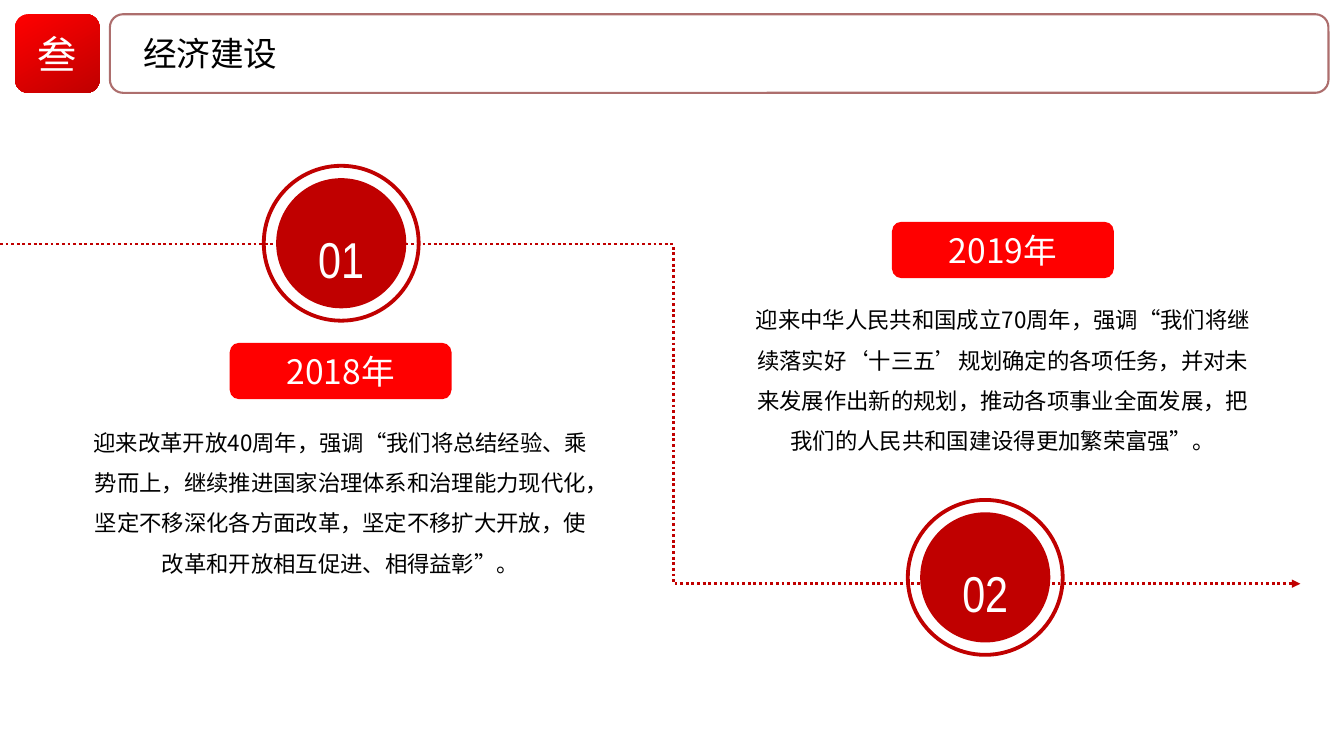
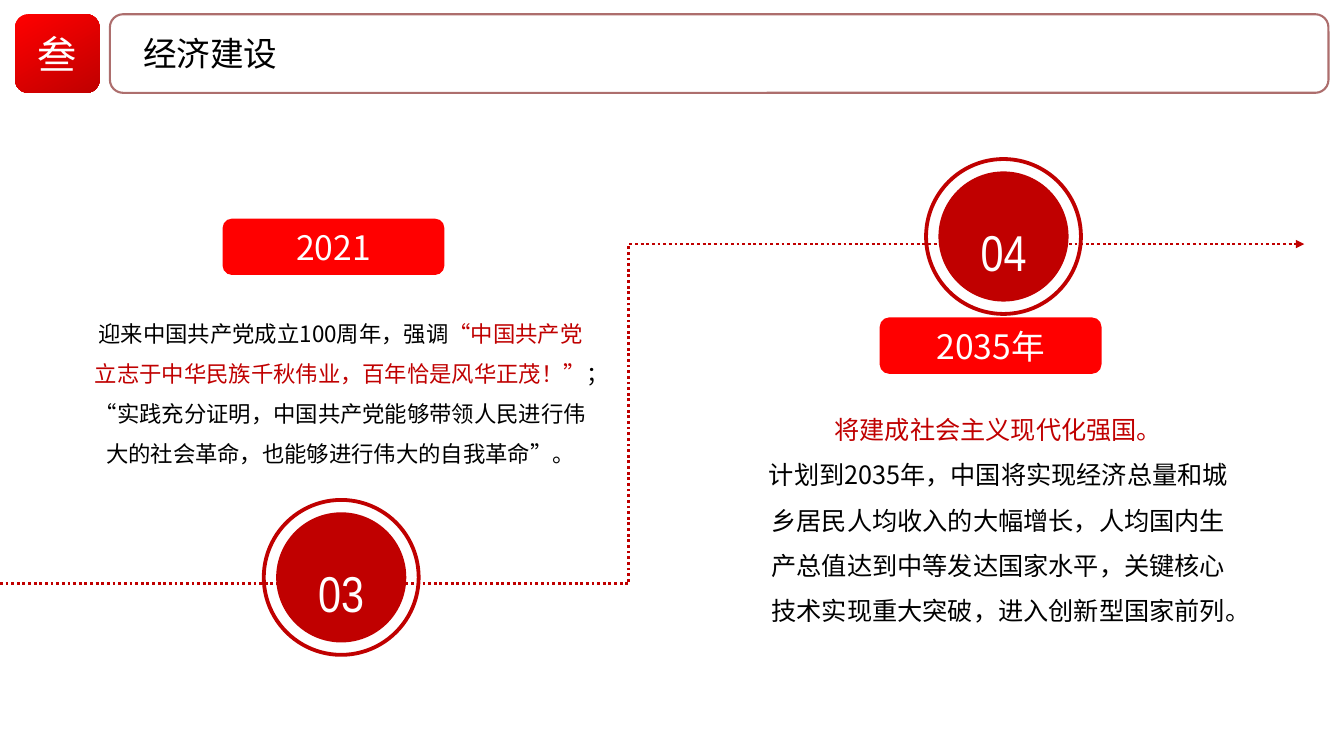
from lxml.etree import SubElement
from pptx import Presentation
from pptx.dml.color import RGBColor as RGB
from pptx.enum.dml import MSO_LINE as Dash
from pptx.enum.lang import MSO_LANGUAGE_ID as Lang
from pptx.enum.shapes import MSO_SHAPE as Kind
from pptx.enum.text import MSO_ANCHOR as Anchor, MSO_AUTO_SIZE as Auto, PP_ALIGN as Align
from pptx.oxml.ns import qn
from pptx.util import Cm, Pt

HUE = {k: RGB.from_string(v) for k, v in {
    "red": "FF0000", "deep": "C00000", "edge": "8B3130",
    "black": "000000", "white": "FFFFFF"}.items()}
SANS, BADGE, NARROW = "Noto Sans CJK JP", "Noto Sans CJK SC", "Arial Narrow"
TITLE = "经济建设"
HIGH, LOW = 6.15, 14.71  # the two levels of the dotted path
RING, DISC = 4, 3.28

# Each stop: number, centre of disc, year, corner of year box,
# text box, text size, paragraphs of (text, colour) runs
PAGES = [
    {"path": [(0, HIGH), (16.97, HIGH), (16.97, LOW), (32.77, LOW)],
     "stops": [
         ("01", (8.6, 6.13), "2018年", (5.79, 8.64), (1.98, 10.34, 13.21, 4.27), 16,
          [[("迎来改革开放40周年，强调“我们将总结经验、乘势而上，继续推进国家治理体系和治理能力现代化，"
             "坚定不移深化各方面改革，坚定不移扩大开放，使改革和开放相互促进、相得益彰”。", "black")]]),
         ("02", (24.83, 14.55), "2019年", (22.48, 5.59), (18.67, 7.26, 13.21, 4.27), 16,
          [[("迎来中华人民共和国成立70周年，强调“我们将继续落实好‘十三五’规划确定的各项任务，"
             "并对未来发展作出新的规划，推动各项事业全面发展，把我们的人民共和国建设得更加繁荣富强”。",
             "black")]])]},
    {"path": [(0, LOW), (15.85, LOW), (15.85, HIGH), (32.87, HIGH)],
     "stops": [
         ("03", (8.6, 14.55), "2021", (5.61, 5.51), (1.98, 7.59, 13.21, 4.37), 16,
          [[("迎来中国共产党成立100周年，强调", "black"),
            ("“中国共产党立志于中华民族千秋伟业，百年恰是风华正茂！”", "deep"),
            ("；“实践充分证明，中国共产党能够带领人民进行伟大的社会革命，也能够进行伟大的自我革命”。",
             "black")]]),
         ("04", (25.29, 5.96), "2035年", (22.17, 8), (19, 9.93, 12.32, 6.02), 18,
          [[("将建成社会主义现代化强国。", "deep")],
           [("计划到2035年，中国将实现经济总量和城乡居民人均收入的大幅增长，人均国内生产总值达到"
             "中等发达国家水平，关键核心技术实现重大突破，进入创新型国家前列。", "black")]])]},
]


def style(run, face, size, hue):
    font = run.font
    font.name, font.size, font.color.rgb = face, Pt(size), HUE[hue]
    font.language_id = Lang.SIMPLIFIED_CHINESE
    SubElement(run._r.get_or_add_rPr(), qn("a:ea")).set("typeface", face)


def draw(slide, kind, box, hue=None, text="", face=SANS, size=24):
    """Add a preset shape without outline, with an optional white centred label."""
    shape = slide.shapes.add_shape(kind, *map(Cm, box))
    shape.shadow.inherit = False
    shape.line.fill.background()
    if hue:
        shape.fill.solid()
        shape.fill.fore_color.rgb = HUE[hue]
    else:
        shape.fill.background()
    if text:
        frame = shape.text_frame
        frame.text = text
        frame.word_wrap = False
        frame.vertical_anchor = Anchor.MIDDLE
        frame.margin_top = frame.margin_bottom = 0
        frame.paragraphs[0].alignment = Align.CENTER
        style(frame.paragraphs[0].runs[0], face, size, "white")
    return shape


prs = Presentation()
prs.slide_width, prs.slide_height = Cm(33.87), Cm(19.05)
layout = prs.slide_layouts[3]
head = layout.placeholders[0]
head.left, head.top, head.width, head.height = map(Cm, (3.35, 0.71, 23.52, 1.27))

for page in PAGES:
    slide = prs.slides.add_slide(layout)

    # Header
    frame = slide.shapes.title.text_frame
    frame.text = TITLE
    frame.auto_size = Auto.NONE
    frame.vertical_anchor = Anchor.MIDDLE
    frame.paragraphs[0].alignment = Align.LEFT
    style(frame.paragraphs[0].runs[0], SANS, 24, "black")

    badge = draw(slide, Kind.ROUNDED_RECTANGLE, (0.38, 0.36, 2.13, 1.98),
                 "red", "叁", BADGE, 28)
    badge.fill.gradient()
    badge.fill.gradient_angle = 300
    for stop, hue in zip(badge.fill.gradient_stops, ("red", "deep")):
        stop.color.rgb = HUE[hue]

    band = draw(slide, Kind.ROUNDED_RECTANGLE, (2.77, 0.36, 30.71, 1.98))
    band.line.color.rgb = HUE["edge"]
    band.line.width = Pt(1.5)
    tint = band.line._get_or_add_ln().find(".//" + qn("a:srgbClr"))
    SubElement(tint, qn("a:alpha")).set("val", "70000")

    # Dotted path
    dots = [(Cm(x), Cm(y)) for x, y in page["path"]]
    build = slide.shapes.build_freeform(*dots[0])
    build.add_line_segments(dots[1:], close=False)
    route = build.convert_to_shape()
    route.shadow.inherit = False
    route.fill.background()
    route.line.color.rgb = HUE["deep"]
    route.line.width = Pt(2)
    route.line.dash_style = Dash.ROUND_DOT
    SubElement(route.line._get_or_add_ln(), qn("a:tailEnd")).set("type", "triangle")

    # Stops on the path
    for spot, (num, (x, y), year, corner, box, size, paras) in enumerate(page["stops"], 1):
        disc = draw(slide, Kind.OVAL, (x - DISC / 2, y - DISC / 2, DISC, DISC),
                    "deep", num, NARROW, 36)
        disc.text_frame.paragraphs[0].line_spacing = 1.5
        ring = draw(slide, Kind.DONUT, (x - RING / 2, y - RING / 2, RING, RING), "deep")
        ring.adjustments[0] = 0.024
        draw(slide, Kind.ROUNDED_RECTANGLE, (*corner, 5.59, 1.42), "red", year)

        body = slide.placeholders[spot]
        body.left, body.top, body.width, body.height = map(Cm, box)
        frame = body.text_frame
        frame.auto_size = Auto.NONE
        frame.vertical_anchor = Anchor.TOP
        for i, runs in enumerate(paras):
            para = frame.add_paragraph() if i else frame.paragraphs[0]
            props = para._p.get_or_add_pPr()
            props.set("marL", "0")
            props.set("indent", "0")
            SubElement(props, qn("a:buNone"))
            para.alignment = Align.CENTER
            para.line_spacing = 1.5
            para.space_before = Pt(0)
            for text, hue in runs:
                run = para.add_run()
                run.text = text
                style(run, SANS, size, hue)

prs.save("out.pptx")
